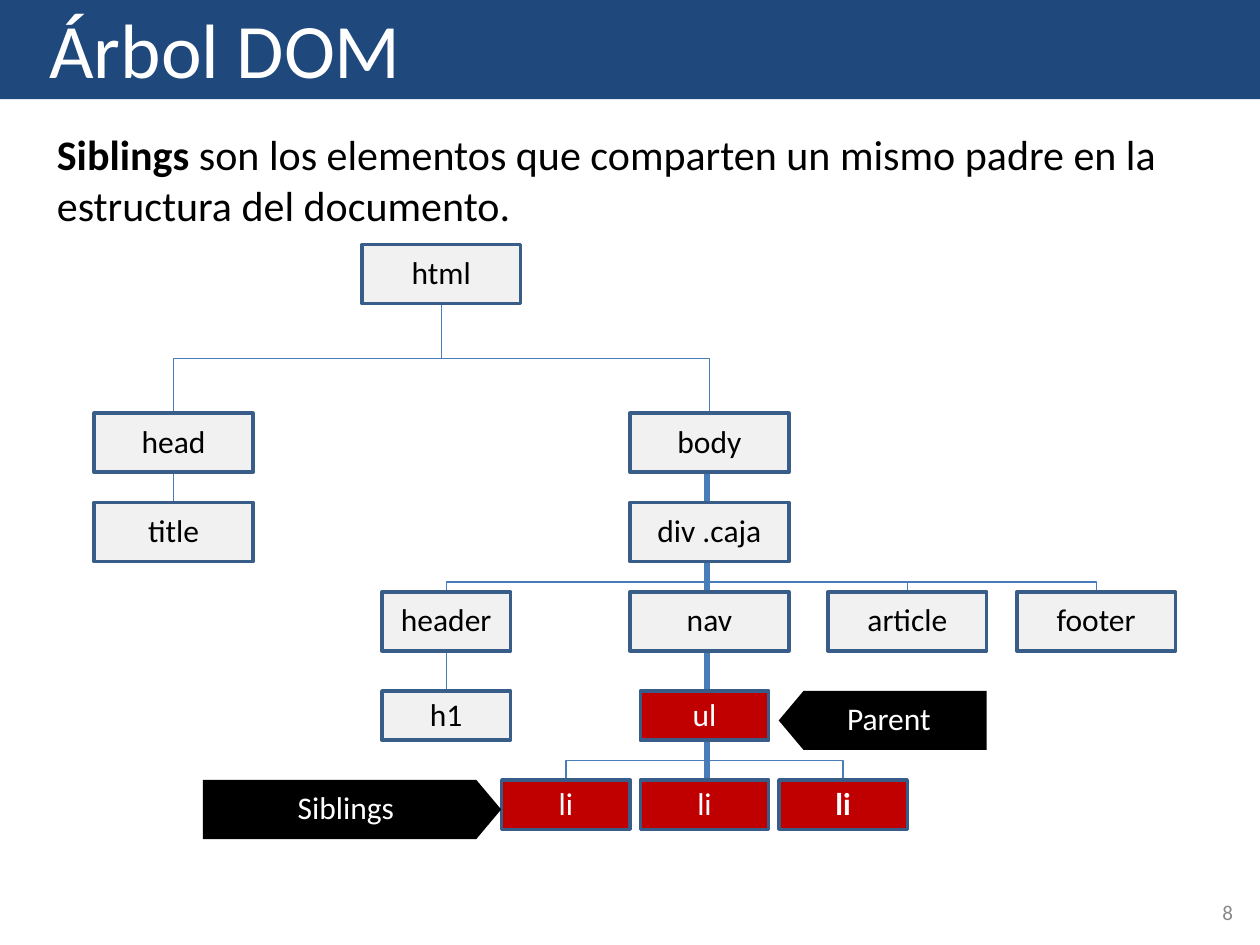
from dataclasses import dataclass

import pptx
import pptx.dml.color
import pptx.enum.shapes
import pptx.enum.text
import pptx.oxml
import pptx.oxml.ns
import pptx.util

Pt = pptx.util.Pt
SHAPE = pptx.enum.shapes.MSO_SHAPE
ALIGN = pptx.enum.text.PP_ALIGN
ANCHOR = pptx.enum.text.MSO_ANCHOR


@dataclass(frozen=True)
class Theme:
    font: str = "Calibri"
    banner: str = "1F487C"
    border: str = "385D89"
    edge: str = "497DBA"
    node: str = "F1F1F1"
    marked: str = "C00000"
    dark: str = "000000"
    light: str = "FFFFFF"
    muted: str = "888888"
    title_size: float = 44
    body_size: float = 24
    node_size: float = 18
    number_size: float = 12
    border_width: float = 2
    thin: float = 0.75
    thick: float = 3.59


@dataclass(frozen=True)
class Node:
    text: str
    x: float
    top: float
    w: float = 90.7
    h: float = 33.8
    marked: bool = False
    bold: bool = False

    @property
    def bottom(self):
        return self.top + self.h


THEME = Theme()
SMALL_W, SMALL_H = 73.4, 28.2
HEAD_X, HTML_X, HEADER_X, BODY_X, UL_X = 99.2, 252.2, 255, 405.4, 402.6
SPINE_X = 404
LI_PITCH = 79.2
ROWS = [139.7, 236.1, 287.2, 338.2, 394.8, 445.7]


def rgb(value):
    return pptx.dml.color.RGBColor.from_string(value)


def write(tf, text, size=THEME.node_size, color=THEME.dark, bold=False,
          align=ALIGN.LEFT, anchor=ANCHOR.TOP, wrap=False, before=0, top=0, bottom=0):
    tf.word_wrap = wrap
    tf.auto_size = pptx.enum.text.MSO_AUTO_SIZE.NONE
    tf.vertical_anchor = anchor
    tf.margin_left = tf.margin_right = 0
    tf.margin_top, tf.margin_bottom = Pt(top), Pt(bottom)
    p = tf.paragraphs[0]
    p.alignment = align
    p.space_before = Pt(before)
    r = p.add_run()
    r.text = text
    r.font.name = THEME.font
    r.font.size = Pt(size)
    r.font.bold = bold
    r.font.color.rgb = rgb(color)


def write_label(sp, text, color, bold=False):
    write(sp.text_frame, text, color=color, bold=bold, align=ALIGN.CENTER,
          anchor=ANCHOR.MIDDLE, bottom=2.4)


def add_text(s, x, y, w, h):
    return s.shapes.add_textbox(Pt(x), Pt(y), Pt(w), Pt(h)).text_frame


def add_block(s, kind, x, y, w, h, fill, border=None):
    sp = s.shapes.add_shape(kind, Pt(x), Pt(y), Pt(w), Pt(h))
    sp.shadow.inherit = False
    sp.fill.solid()
    sp.fill.fore_color.rgb = rgb(fill)
    if border:
        sp.line.color.rgb = rgb(border)
        sp.line.width = Pt(THEME.border_width)
    else:
        sp.line.fill.background()
    return sp


def add_node(s, node):
    fill, color = (THEME.marked, THEME.light) if node.marked else (THEME.node, THEME.dark)
    sp = add_block(s, SHAPE.RECTANGLE, node.x - node.w / 2, node.top, node.w, node.h,
                   fill, THEME.border)
    write_label(sp, node.text, color, node.bold)


def add_tag(s, text, x, y, w, h, points_left=False):
    sp = add_block(s, SHAPE.PENTAGON, x, y, w, h, THEME.dark)
    sp.adjustments[0] = 0.42
    if points_left:
        sp._element.spPr.xfrm.set("flipH", "1")
    write_label(sp, text, THEME.light)


def add_spine(s, parent, child):
    cx = s.shapes.add_connector(pptx.enum.shapes.MSO_CONNECTOR.STRAIGHT, Pt(SPINE_X),
                                Pt(parent.bottom), Pt(SPINE_X), Pt(child.top))
    cx.line.color.rgb = rgb(THEME.edge)
    cx.line.width = Pt(THEME.thick)
    cx._element.spPr.append(pptx.oxml.parse_xml(
        f"<a:effectLst {pptx.oxml.ns.nsdecls('a')}/>"))


def add_strokes(s, *strokes):
    strokes = [[(Pt(x), Pt(y)) for x, y in stroke] for stroke in strokes]
    fb = s.shapes.build_freeform(*strokes[0][0], scale=1.0)
    for i, stroke in enumerate(strokes):
        if i:
            fb.move_to(*stroke[0])
        fb.add_line_segments(stroke[1:], close=False)
    sp = fb.convert_to_shape()
    sp.shadow.inherit = False
    sp.fill.background()
    sp.line.color.rgb = rgb(THEME.edge)
    sp.line.width = Pt(THEME.thin)


def drop(parent, child):
    return [(parent.x, parent.bottom), (parent.x, child.top)]


def elbow(child, bus_y, x):
    return [(child.x, child.top), (child.x, bus_y), (x, bus_y)]


def add_title(s, text):
    banner = add_block(s, SHAPE.RECTANGLE, 0, 0, 720, 56.7, THEME.banner)
    s.shapes._spTree.insert(2, banner._element)
    sp = s.shapes.title
    sp.left, sp.top, sp.width, sp.height = Pt(28.2), Pt(0), Pt(203), Pt(54.7)
    write(sp.text_frame, text, size=THEME.title_size, color=THEME.light, before=1, top=1)


def add_tree(s):
    html = Node("html", HTML_X, ROWS[0])
    head = Node("head", HEAD_X, ROWS[1])
    body = Node("body", BODY_X, ROWS[1])
    title = Node("title", HEAD_X, ROWS[2])
    div = Node("div .caja", BODY_X, ROWS[2])
    header = Node("header", HEADER_X, ROWS[3], w=SMALL_W)
    nav = Node("nav", BODY_X, ROWS[3])
    article = Node("article", 518.5, ROWS[3])
    footer = Node("footer", 626.4, ROWS[3])
    h1 = Node("h1", HEADER_X, ROWS[4], SMALL_W, SMALL_H)
    ul = Node("ul", UL_X, ROWS[4], SMALL_W, SMALL_H, marked=True)
    items = [Node("li", UL_X + (i - 1) * LI_PITCH, ROWS[5], SMALL_W, SMALL_H,
                  marked=True, bold=i == 2) for i in range(3)]

    top_bus = (html.bottom + head.top) / 2
    div_bus, ul_bus = 332.5, 434.4
    root = (html.x, html.bottom)
    add_strokes(s, elbow(body, top_bus, html.x) + [root])
    add_strokes(s, drop(head, title), elbow(head, top_bus, html.x) + [root])
    add_strokes(s, elbow(header, div_bus, BODY_X))
    add_strokes(s, elbow(article, div_bus, BODY_X), elbow(footer, div_bus, article.x),
                drop(header, h1), elbow(items[0], ul_bus, BODY_X),
                elbow(items[2], ul_bus, BODY_X))
    for parent, child in [(body, div), (div, nav), (nav, items[1])]:
        add_spine(s, parent, child)

    for node in [html, head, body, title, div, header, nav, article, footer, h1, ul, *items]:
        add_node(s, node)


def main():
    prs = pptx.Presentation()
    prs.slide_width, prs.slide_height = Pt(720), Pt(540)
    s = prs.slides.add_slide(prs.slide_layouts[5])
    add_title(s, "Árbol DOM")

    tf = add_text(s, 32.5, 73, 636, 62)
    for text, bold in [
        ("Siblings ", True),
        ("son los elementos que comparten un mismo padre en la estructura del documento.", False),
    ]:
        write(tf, text, size=THEME.body_size, bold=bold, wrap=True, before=1, top=0.7)

    add_tree(s)
    add_tag(s, "Parent", 445, ROWS[4], 118.8, 33.8, points_left=True)
    add_tag(s, "Siblings", 116, ROWS[5], 170.4, 33.8)
    write(add_text(s, 695, 514, 13, 14), "8", size=THEME.number_size,
          color=THEME.muted, align=ALIGN.CENTER)
    prs.save("out.pptx")


if __name__ == "__main__":
    main()
